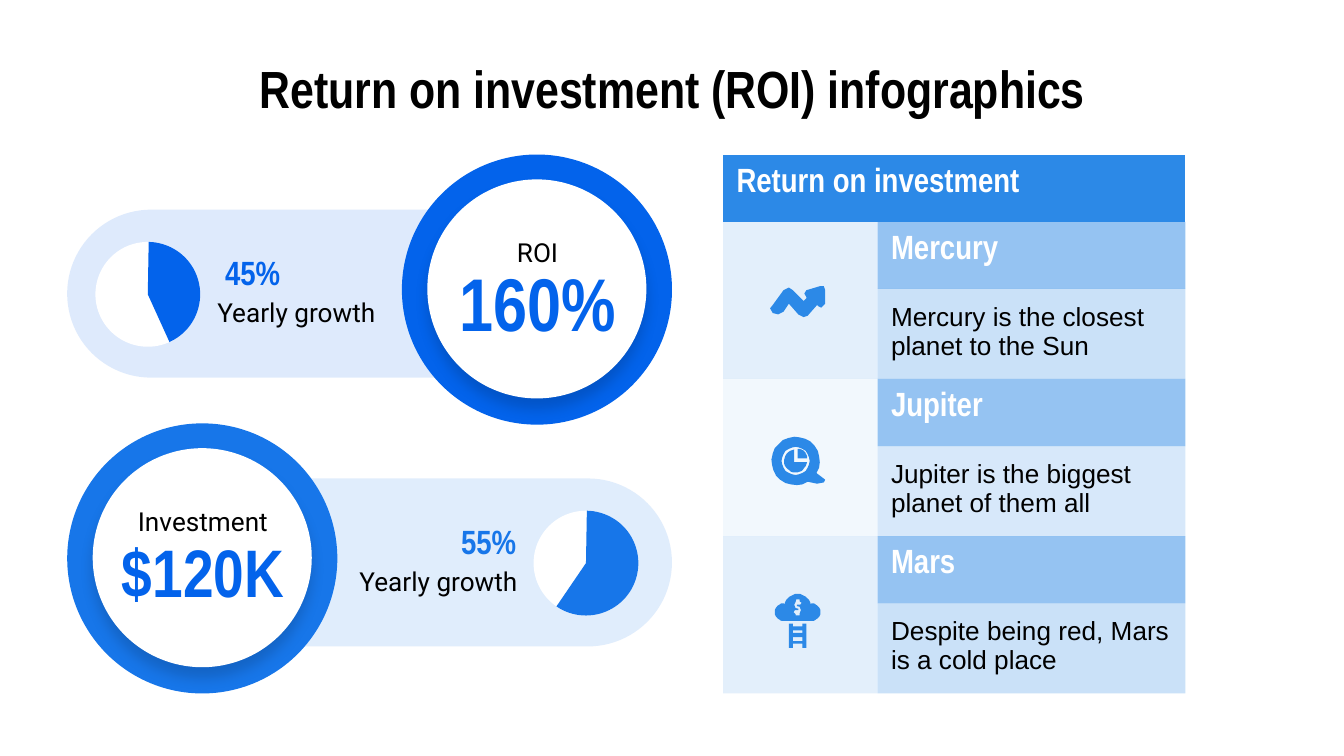
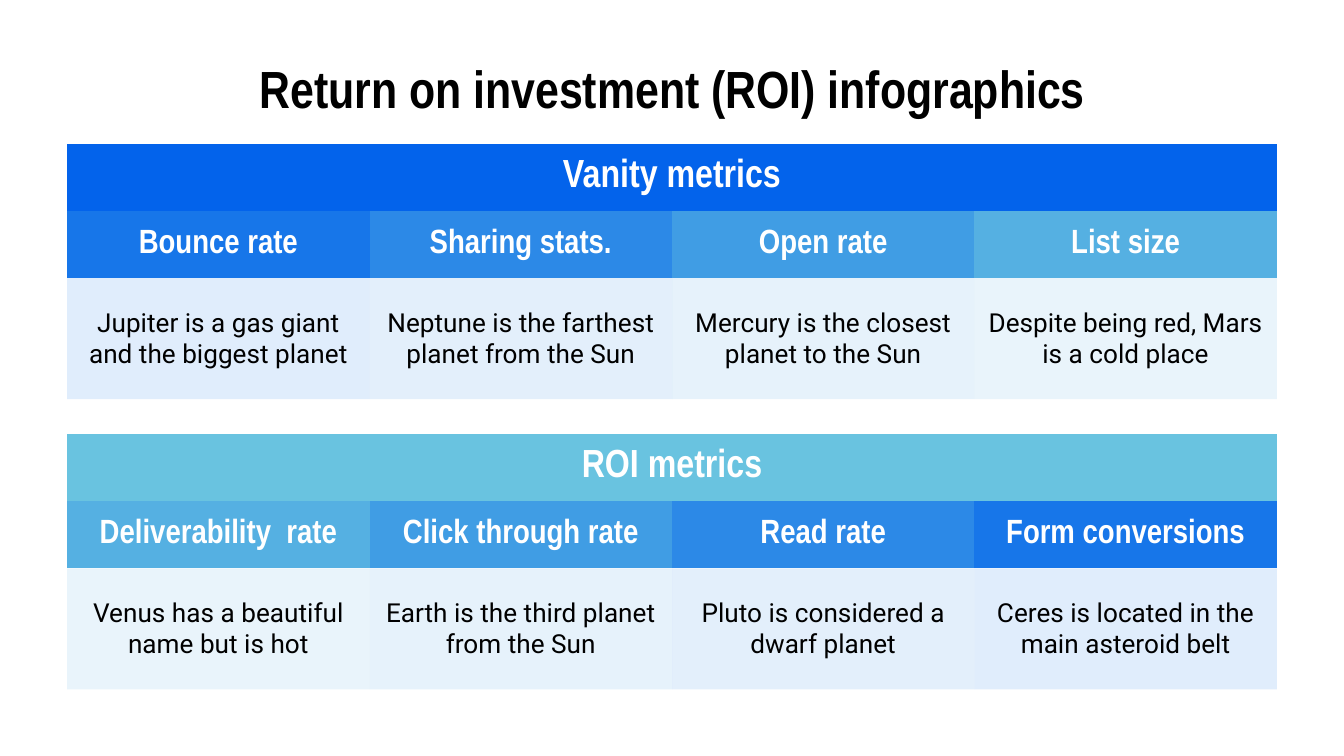
from math import cos, radians, sin

from lxml.etree import SubElement
from pptx import Presentation
from pptx.dml.color import RGBColor
from pptx.enum.shapes import MSO_SHAPE
from pptx.enum.text import MSO_ANCHOR, MSO_AUTO_SIZE, PP_ALIGN
from pptx.oxml.ns import qn
from pptx.util import Pt

PX = 4572
COLORS = {
    "blue": "0363EB",
    "royal": "1776E9",
    "azure": "2C89E7",
    "sky": "409DE4",
    "light": "55B0E2",
    "aqua": "69C3E0",
    "white": "FFFFFF",
    "black": "000000",
}
HEAD, BODY, PLAIN = "Arial Narrow", "Roboto", "Arial"
NO_TABLE_STYLE = "{2D5ABB26-0587-4C30-8999-92F81FD0307C}"
TITLE = "Return on investment (ROI) infographics"


def px(*values):
    return [value * PX for value in values]


def rgb(name):
    return RGBColor.from_string(COLORS[name])


def write(tf, text, size=14, font=BODY, color="black", bold=False, align=PP_ALIGN.CENTER):
    p = tf.paragraphs[0]
    p.alignment = align
    r = p.add_run()
    r.text = text
    r.font.size = Pt(size)
    r.font.name = font
    r.font.bold = bold
    r.font.color.rgb = rgb(color)


def paint(fill, element, color, alpha=100):
    fill.solid()
    fill.fore_color.rgb = rgb(color)
    if alpha < 100:
        clr = element.find(".//" + qn("a:srgbClr"))
        SubElement(clr, qn("a:alpha"), val=str(alpha * 1000))


def arc(cx, cy, radius, start, end, steps=24):
    angles = [radians(start + (end - start) * i / steps) for i in range(steps + 1)]
    return [(cx + radius * cos(a), cy + radius * sin(a)) for a in angles]


def box(left, top, right, bottom):
    return [(left, top), (right, top), (right, bottom), (left, bottom)]


class Deck:
    def __init__(self):
        self.prs = Presentation()
        self.prs.slide_width, self.prs.slide_height = px(2000, 1125)
        self.s = None

    def slide(self, title):
        self.s = self.prs.slides.add_slide(self.prs.slide_layouts[5])
        sp = self.s.shapes.title
        sp.left, sp.top, sp.width, sp.height = px(100, 90, 1800, 82)
        self.frame(sp.text_frame)
        write(sp.text_frame, title, size=28, font=HEAD, bold=True)

    def frame(self, tf):
        tf.word_wrap = True
        tf.auto_size = MSO_AUTO_SIZE.NONE
        tf.vertical_anchor = MSO_ANCHOR.MIDDLE
        tf.margin_left = tf.margin_right = tf.margin_top = tf.margin_bottom = 20 * PX

    def finish(self, sp, color, alpha=100):
        paint(sp.fill, sp._element.spPr, color, alpha)
        sp.line.fill.background()
        sp.shadow.inherit = False
        return sp

    def shape(self, kind, x, y, w, h, color, alpha=100, adjust=()):
        sp = self.s.shapes.add_shape(kind, *px(x, y, w, h))
        for i, value in enumerate(adjust):
            sp.adjustments[i] = value
        return self.finish(sp, color, alpha)

    def soft_shadow(self, sp):
        effects = sp._element.spPr.find(qn("a:effectLst"))
        shadow = SubElement(effects, qn("a:outerShdw"), blurRad=str(19 * PX),
                            dist=str(15 * PX), dir="5400000",
                            algn="bl", rotWithShape="0")
        clr = SubElement(shadow, qn("a:srgbClr"), val=COLORS["black"])
        SubElement(clr, qn("a:alpha"), val="15000")

    def text(self, x, y, w, h, text, **style):
        tf = self.s.shapes.add_textbox(*px(x, y, w, h)).text_frame
        self.frame(tf)
        write(tf, text, **style)

    def outline(self, color, *contours):
        first, *rest = contours
        builder = self.s.shapes.build_freeform(*first[0], scale=PX)
        builder.add_line_segments(first[1:], close=True)
        for points in rest:
            builder.move_to(*points[0])
            builder.add_line_segments(points[1:], close=True)
        self.finish(builder.convert_to_shape(), color)

    def table(self, x, y, cols, rows):
        frame = self.s.shapes.add_table(len(rows), len(cols),
                                        *px(x, y, sum(cols), sum(rows)))
        tbl = frame.table
        tbl.first_row = tbl.horz_banding = False
        tbl._tbl.tblPr.find(qn("a:tableStyleId")).text = NO_TABLE_STYLE
        for col, width in zip(tbl.columns, cols):
            col.width = width * PX
        for row, height in zip(tbl.rows, rows):
            row.height = height * PX
        return tbl

    def cell(self, cell, shade, alpha=100, text=None, anchor=MSO_ANCHOR.MIDDLE, **style):
        cell.vertical_anchor = anchor
        cell.margin_left = cell.margin_right = 20 * PX
        cell.margin_top = cell.margin_bottom = 20 * PX
        paint(cell.fill, cell._tc.tcPr, shade, alpha)
        if text:
            write(cell.text_frame, text, **style)

    def metric(self, top, color, pill, ring, pie, end, growth, share, label, value,
               size, percent, align):
        self.shape(MSO_SHAPE.ROUNDED_RECTANGLE, pill, top + 82, 706, 250, color, 13, [0.5])
        self.shape(MSO_SHAPE.OVAL, ring, top, 402, 402, color)
        self.soft_shadow(self.shape(MSO_SHAPE.OVAL, ring + 38, top + 37, 326, 326, "white"))
        self.text(ring + 48, top + 126, 308, 38, label)
        self.text(ring + 48, top + 164, 308, 110, value, size=size, font=HEAD,
                  color="blue", bold=True)
        self.shape(MSO_SHAPE.OVAL, pie, top + 130, 156, 156, "white")
        self.shape(MSO_SHAPE.PIE, pie, top + 130, 156, 156, color,
                   adjust=[271 * 0.6, end * 0.6])
        self.text(growth, top + 210, 282, 50, "Yearly growth", align=align)
        self.text(share, top + 141, 152, 68, percent, size=18, font=HEAD, color=color,
                  bold=True, align=align)

    def planets(self, x, y, title, items):
        tbl = self.table(x, y, [230, 458], [100] + [100, 134] * len(items))
        head = dict(size=18, font=HEAD, color="white", bold=True,
                    align=PP_ALIGN.LEFT, anchor=MSO_ANCHOR.TOP)
        tbl.cell(0, 0).merge(tbl.cell(0, 1))
        self.cell(tbl.cell(0, 0), "azure", text=title, **head)
        for i, (name, fact, icon_alpha, fact_alpha) in enumerate(items):
            row = 1 + 2 * i
            tbl.cell(row, 0).merge(tbl.cell(row + 1, 0))
            self.cell(tbl.cell(row, 0), "azure", icon_alpha)
            self.cell(tbl.cell(row, 1), "azure", 50, name, **head)
            self.cell(tbl.cell(row + 1, 1), "azure", fact_alpha, fact, font=PLAIN,
                      align=PP_ALIGN.LEFT, anchor=MSO_ANCHOR.TOP)

    def metrics(self, y, title, color, items):
        tbl = self.table(100, y, [450] * len(items), [100, 100, 180])
        head = dict(font=HEAD, color="white", bold=True)
        tbl.cell(0, 0).merge(tbl.cell(0, len(items) - 1))
        self.cell(tbl.cell(0, 0), color, text=title, size=21, **head)
        for i, (shade, name, fact) in enumerate(items):
            self.cell(tbl.cell(1, i), shade, text=name, size=18, **head)
            self.cell(tbl.cell(2, i), shade, 13, fact)

    def trend_icon(self):
        self.outline("azure", [
            (1220, 426), (1200, 432), (1197, 437), (1200, 442), (1200, 444),
            (1196, 448), (1180, 432), (1174, 428), (1166, 432), (1150, 454),
            (1146, 459), (1150, 466), (1158, 468), (1166, 464), (1174, 452),
            (1188, 468), (1196, 472), (1202, 470), (1216, 454), (1218, 456),
            (1222, 458), (1228, 452), (1228, 432), (1226, 426)])

    def chart_icon(self):
        tail = [(1216, 720), (1226, 718), (1228, 714)]
        self.outline("azure", arc(1184, 686, 36, 30, -300) + tail,
                     arc(1184, 686, 21, 0, 360))
        self.outline("azure", [(1182, 688)] + arc(1184, 686, 17, 6, 263))
        self.outline("azure", [(1187, 682)] + arc(1187, 682, 14, -90, 0))

    def cloud_icon(self):
        cloud = (arc(1166, 911, 13, 90, 270) + arc(1187, 904, 20, 195, 345)
                 + arc(1208, 911, 13, -90, 90))
        dollar = [
            (1185, 892), (1190, 892), (1190, 895), (1193, 897), (1191, 900),
            (1186, 900), (1186, 902), (1190, 903), (1192, 908), (1190, 913),
            (1190, 916), (1184, 916), (1184, 914), (1181, 911), (1183, 908),
            (1188, 908), (1188, 906), (1184, 905), (1182, 900), (1184, 896)]
        ladder = [
            (1174, 928), (1174, 964), (1180, 964), (1180, 958), (1194, 958),
            (1194, 964), (1200, 964), (1200, 928), (1194, 928), (1194, 932),
            (1180, 932), (1180, 928)]
        self.outline("azure", cloud, dollar)
        self.outline("azure", ladder, box(1180, 938, 1194, 942), box(1180, 948, 1194, 954))


def main():
    deck = Deck()

    deck.slide(TITLE)
    deck.metric(230, "blue", pill=100, ring=598, pie=142, end=65.5, growth=300, share=300,
                label="ROI", value="160%", size=40, percent="45%", align=PP_ALIGN.CENTER)
    deck.metric(630, "royal", pill=294, ring=100, pie=794, end=124.3, growth=508, share=636,
                label="Investment", value="$120K", size=36, percent="55%",
                align=PP_ALIGN.RIGHT)
    deck.planets(1076, 230, "Return on investment", [
        ("Mercury", "Mercury is the closest planet to the Sun", 13, 25),
        ("Jupiter", "Jupiter is the biggest planet of them all", 6, 19),
        ("Mars", "Despite being red, Mars is a cold place", 13, 25),
    ])
    deck.trend_icon()
    deck.chart_icon()
    deck.cloud_icon()

    deck.slide(TITLE)
    deck.metrics(214, "Vanity metrics", "blue", [
        ("royal", "Bounce rate", "Jupiter is a gas giant and the biggest planet"),
        ("azure", "Sharing stats.", "Neptune is the farthest planet from the Sun"),
        ("sky", "Open rate", "Mercury is the closest planet to the Sun"),
        ("light", "List size", "Despite being red, Mars is a cold place"),
    ])
    deck.metrics(646, "ROI metrics", "aqua", [
        ("light", "Deliverability  rate", "Venus has a beautiful name but is hot"),
        ("sky", "Click through rate", "Earth is the third planet from the Sun"),
        ("azure", "Read rate", "Pluto is considered a dwarf planet"),
        ("royal", "Form conversions", "Ceres is located in the main asteroid belt"),
    ])
    deck.prs.save("out.pptx")


if __name__ == "__main__":
    main()
